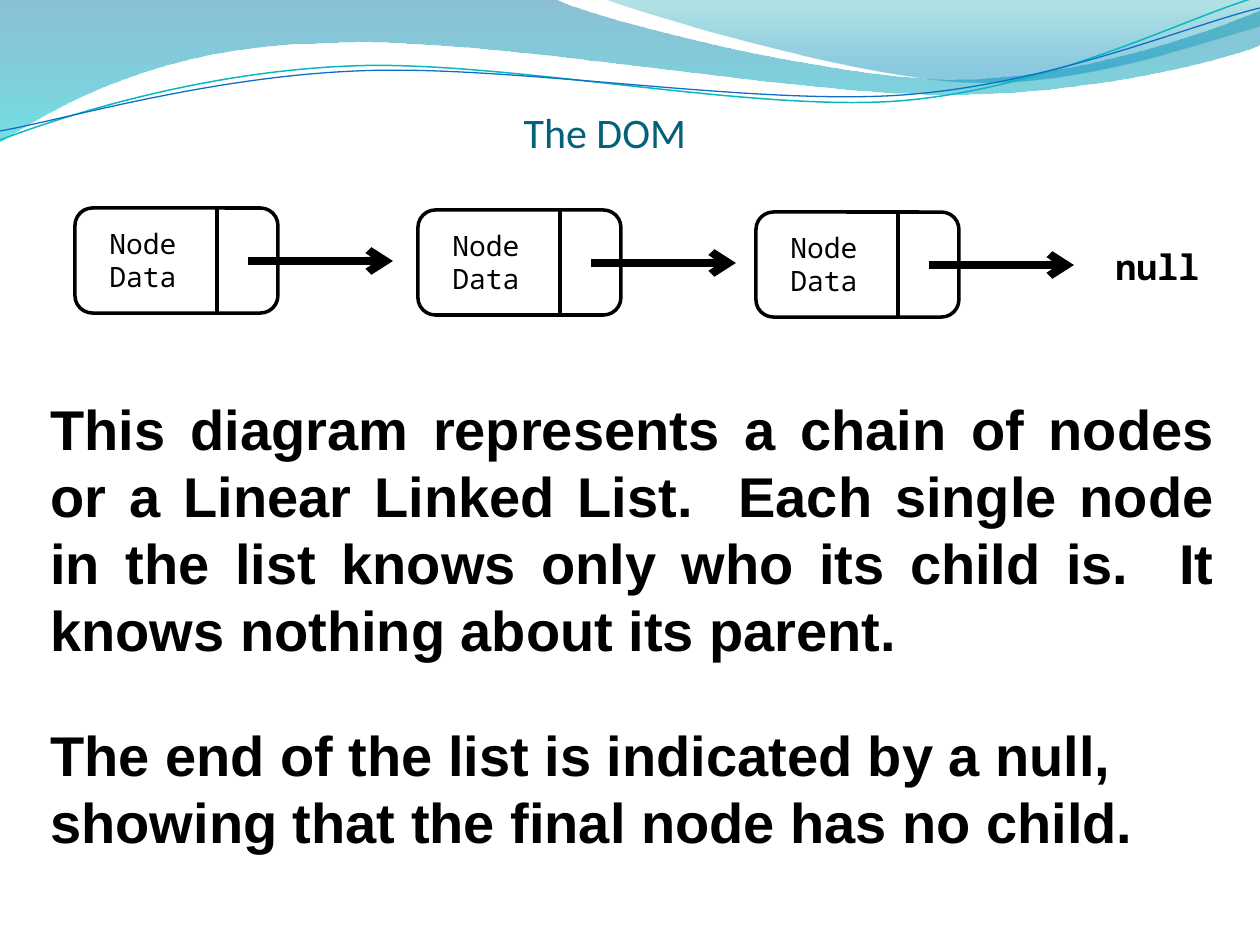
from lxml.etree import Element, SubElement
from pptx import Presentation
from pptx.dml.color import RGBColor
from pptx.enum.shapes import MSO_CONNECTOR, MSO_SHAPE
from pptx.enum.text import MSO_ANCHOR, PP_ALIGN
from pptx.oxml.ns import qn
from pptx.util import Emu, Pt

SCALE = 914400 / 126
COLORS = {
    "black": "000000", "white": "FFFFFF", "title": "04617B",
    "wave_top": "0074A1", "wave_bottom": "00C6CF",
    "crest_top": "00A1A9", "crest_bottom": "008BBF",
    "teal_line": "0AB8BF", "blue_line": "0F6FC6",
}


def px(value):
    return Emu(round(value * SCALE))


def color(name):
    return RGBColor.from_string(COLORS[name])


def write(holder, text, font="Arial", size=32, ink="black", bold=False,
          align=PP_ALIGN.LEFT):
    frame = holder.text_frame
    frame.word_wrap = True
    frame.vertical_anchor = MSO_ANCHOR.TOP
    paragraph = frame.paragraphs[0]
    paragraph.alignment = align
    run = paragraph.add_run()
    run.text = text
    run.font.name = font
    run.font.size = Pt(size)
    run.font.bold = bold
    run.font.color.rgb = color(ink)


def add_text(shapes, box, text, **style):
    write(shapes.add_textbox(*map(px, box)), text, **style)


def add_outline(shapes, origin, start, segments, close):
    def place(x, y):
        return px(origin[0] + x), px(origin[1] + y)

    builder = shapes.build_freeform(*place(*start))
    builder.add_line_segments([place(*segment[-2:]) for segment in segments], close=close)
    outline = builder.convert_to_shape()
    outline.shadow.inherit = False
    sides = list(outline.element.iter(qn("a:lnTo")))
    for side, segment in zip(sides, segments):
        if len(segment) == 6:
            curve = Element(qn("a:cubicBezTo"))
            for i in (0, 2, 4):
                x, y = place(*segment[i:i + 2])
                SubElement(curve, qn("a:pt"), x=str(x - outline.left), y=str(y - outline.top))
            side.getparent().replace(side, curve)
    return outline


def add_wave(shapes, origin, start, segments, stops):
    wave = add_outline(shapes, origin, start, segments, True)
    wave.line.fill.background()
    wave.fill.gradient()
    wave.fill.gradient_angle = 270
    for stop, (position, ink, _) in zip(wave.fill.gradient_stops, stops):
        stop.position = position
        stop.color.rgb = color(ink)
    for tint, (_, _, opacity) in zip(wave.element.iter(qn("a:srgbClr")), stops):
        SubElement(tint, qn("a:alpha"), val=str(opacity * 1000))


def add_ripple(shapes, origin, start, segments, ink, width):
    ripple = add_outline(shapes, origin, start, segments, False)
    ripple.fill.background()
    ripple.line.color.rgb = color(ink)
    ripple.line.width = Pt(width)


def add_header(shapes, left, top):
    origin = (left, top)
    add_wave(shapes, origin, (0, 0), [
        (554, -1), (600, 21, 837, 79, 955, 79), (1075, 79, 1207, 33, 1260, 11),
        (1261, 45), (1239, 55, 1096, 96, 940, 94), (784, 94, 481, 35, 324, 43),
        (163, 45, 58, 105, -1, 142),
    ], [(0, "wave_top", 45), (1, "wave_bottom", 55)])
    add_wave(shapes, origin, (604, -1), [
        (641, 14, 859, 78, 969, 82), (1079, 87, 1211, 40, 1260, 26), (1260, 0),
    ], [(0, "crest_top", 30), (0.8, "crest_bottom", 45)])
    add_ripple(shapes, origin, (0, 140), [
        (60, 117, 199, 72, 349, 66), (498, 59, 747, 112, 898, 101),
        (1050, 89, 1182, 19, 1257, -3),
    ], "teal_line", 0.85)
    add_ripple(shapes, origin, (0, 131), [
        (59, 121, 207, 77, 357, 71), (508, 64, 752, 106, 903, 95),
        (1053, 84, 1186, 26, 1260, 8),
    ], "blue_line", 0.75)


def add_title(slide, box):
    title = slide.shapes.title
    title.left, title.top, title.width, title.height = map(px, box)
    write(title, "The DOM", font="Calibri", size=24, ink="title")
    title.element.getparent().append(title.element)


def add_link(shapes, start, end, width, arrow=False):
    link = shapes.add_connector(MSO_CONNECTOR.STRAIGHT, *map(px, start + end))
    link.line.color.rgb = color("black")
    link.line.width = Pt(width)
    if arrow:
        SubElement(link.element.spPr.find(qn("a:ln")), qn("a:tailEnd"), type="arrow")
    SubElement(link.element.spPr, qn("a:effectLst"))


def add_node(slide, left, top, width=203, height=105):
    shapes = slide.shapes.add_group_shape().shapes
    cell = shapes.add_shape(MSO_SHAPE.ROUNDED_RECTANGLE, *map(px, (left, top, width, height)))
    cell.shadow.inherit = False
    cell.fill.solid()
    cell.fill.fore_color.rgb = color("white")
    cell.line.color.rgb = color("black")
    cell.line.width = Pt(2)
    divider = left + 142
    middle = top + 53
    add_link(shapes, (divider, top), (divider, top + height), 2.25)
    add_link(shapes, (left + 173, middle), (left + 318, middle), 4.5, arrow=True)
    add_text(shapes, (left + 22, top + 12, 101, 81), "Node Data",
             font="Noto Sans Mono", size=16)


def add_chain(slide, left, top):
    for across, down in ((343, 2), (0, 0), (681, 4)):
        add_node(slide, left + across, top + down)
    add_text(slide.shapes, (left + 1028, top + 31, 126, 55), "null",
             font="Noto Sans Mono", size=20, bold=True)


def add_explanation(shapes, left, top, width):
    add_text(shapes, (left, top, width, 285),
             "This diagram represents a chain of nodes or a Linear Linked List.  "
             "Each single node in the list knows only who its child is.  "
             "It knows nothing about its parent.", bold=True, align=PP_ALIGN.JUSTIFY)
    add_text(shapes, (left, top + 326, width, 149),
             "The end of the list is indicated by a null, "
             "showing that the final node has no child.", bold=True)


deck = Presentation()
deck.slide_width, deck.slide_height = px(1260), px(945)
dom_slide = deck.slides.add_slide(deck.slide_layouts[5])
add_header(dom_slide.shapes, 0, 0)
add_title(dom_slide, (511, 100, 231, 67))
add_chain(dom_slide, 75, 208)
add_explanation(dom_slide.shapes, 38, 388, 1190)
deck.save("out.pptx")
